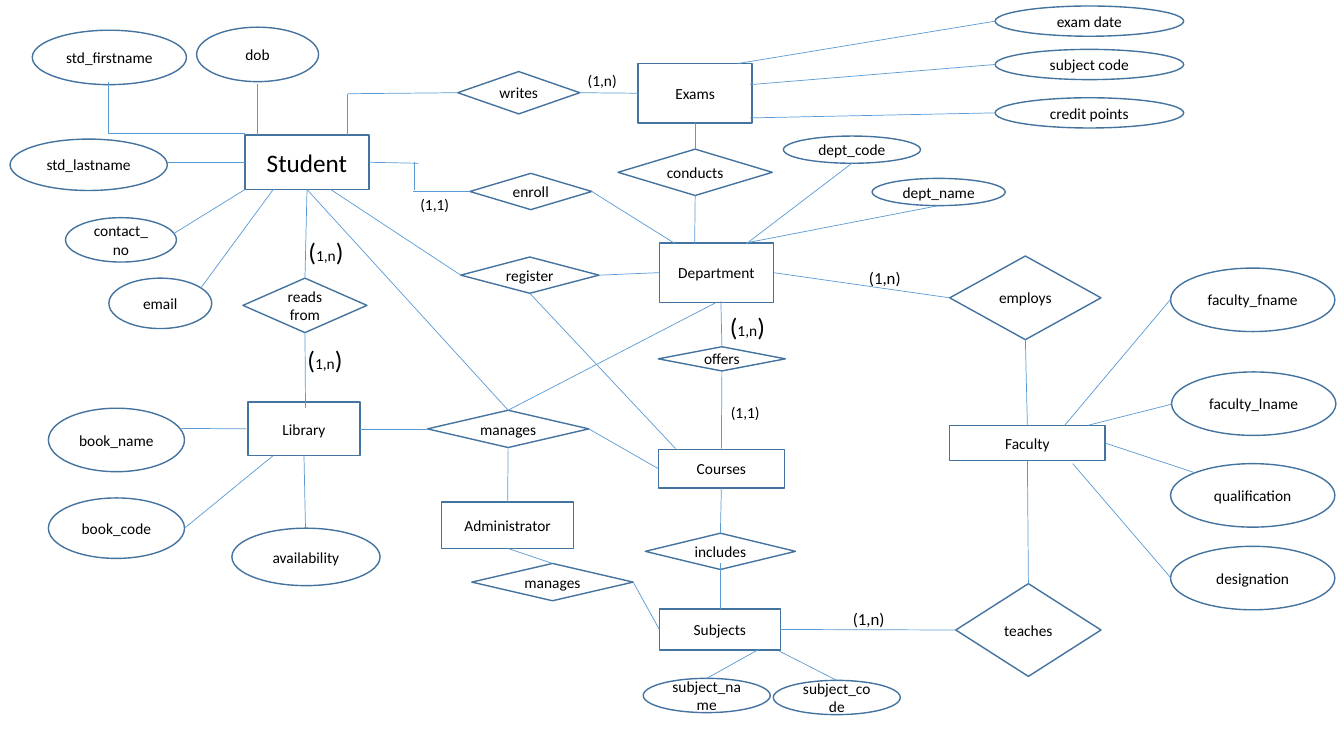
from lxml import etree
from pptx import Presentation
from pptx.dml.color import RGBColor
from pptx.enum.shapes import MSO_CONNECTOR as CONN, MSO_SHAPE as SHAPE
from pptx.enum.text import MSO_ANCHOR as ANCHOR, MSO_AUTO_SIZE as FIT, PP_ALIGN as ALIGN
from pptx.oxml.ns import qn
from pptx.util import Inches, Pt

COLORS = {"paper": "FFFFFF", "outline": "43739E", "link": "5B9BD5", "text": "000000"}

prs = Presentation()
prs.slide_width, prs.slide_height = Inches(13.33), Inches(7.5)
s = prs.slides.add_slide(prs.slide_layouts[6])


def write(tf, text, size=11, bracket=None, align=ALIGN.LEFT):
    """Write one paragraph; bracket is the size of the outer parentheses."""
    p = tf.paragraphs[0]
    p.alignment = align
    parts = [(text, size)]
    if bracket:
        parts = [(text[0], bracket), (text[1:-1], size), (text[-1], bracket)]
    for part, part_size in parts:
        r = p.add_run()
        r.text = part
        r.font.name, r.font.size = "Calibri", Pt(part_size)
        r.font.color.rgb = RGBColor.from_string(COLORS["text"])


def add_link(x1, y1, x2, y2, kind=CONN.STRAIGHT):
    c = s.shapes.add_connector(kind, Inches(x1), Inches(y1), Inches(x2), Inches(y2))
    c.line.color.rgb = RGBColor.from_string(COLORS["link"])
    c.line.width = Pt(0.5)
    etree.SubElement(c._element.spPr, qn("a:effectLst"))
    return c


# Entities, relationships and attributes: text, left, top, width, height
entities = [
    ("Student", 2.43, 1.34, 1.23, 0.54),
    ("Library", 2.46, 3.99, 1.11, 0.53),
    ("Exams", 6.33, 0.63, 1.13, 0.59),
    ("Department", 6.54, 2.41, 1.13, 0.59),
    ("Courses", 6.53, 4.46, 1.25, 0.38),
    ("Subjects", 6.54, 6.04, 1.2, 0.41),
    ("Faculty", 9.42, 4.22, 1.54, 0.35),
    ("Administrator", 4.38, 4.98, 1.31, 0.46),
]
relationships = [
    ("reads from", 2.41, 2.76, 1.23, 0.54),
    ("writes", 4.54, 0.71, 1.21, 0.42),
    ("enroll", 4.66, 1.72, 1.21, 0.36),
    ("register", 4.57, 2.55, 1.37, 0.36),
    ("conducts", 6.13, 1.48, 1.53, 0.46),
    ("offers", 6.53, 3.44, 1.26, 0.24),
    ("includes", 6.4, 5.29, 1.49, 0.36),
    ("employs", 9.42, 2.54, 1.5, 0.83),
    ("teaches", 9.48, 5.79, 1.44, 0.92),
    ("manages", 4.24, 4.07, 1.6, 0.37),
    ("manages", 4.68, 5.59, 1.6, 0.37),
]
attributes = [
    ("dob", 1.95, 0.27, 1.21, 0.54),
    ("std_firstname", 0.32, 0.3, 1.53, 0.54),
    ("std_lastname", 0.1, 1.38, 1.56, 0.51),
    ("contact_no", 0.65, 2.16, 1.1, 0.44),
    ("email", 1.08, 2.76, 1.02, 0.5),
    ("book_name", 0.48, 4.05, 1.35, 0.63),
    ("book_code", 0.48, 4.94, 1.35, 0.6),
    ("availability", 2.3, 5.24, 1.47, 0.57),
    ("exam date", 9.87, 0.06, 1.87, 0.3),
    ("subject code", 9.87, 0.49, 1.87, 0.3),
    ("credit points", 9.87, 0.97, 1.87, 0.3),
    ("dept_code", 7.77, 1.35, 1.36, 0.27),
    ("dept_name", 8.65, 1.77, 1.32, 0.27),
    ("subject_name", 6.38, 6.73, 1.26, 0.34),
    ("subject_code", 7.67, 6.75, 1.26, 0.34),
    ("faculty_fname", 11.61, 2.66, 1.63, 0.63),
    ("faculty_lname", 11.62, 3.69, 1.63, 0.63),
    ("qualification", 11.61, 4.6, 1.63, 0.63),
    ("designation", 11.61, 5.42, 1.63, 0.63),
]
filled = {"Student", "reads from", "dob", "std_firstname", "std_lastname", "contact_no", "email"}

sites = []  # side middles that links can join: x, y, shape, index
for preset, nodes in ((SHAPE.RECTANGLE, entities),
                      (SHAPE.FLOWCHART_DECISION, relationships),
                      (SHAPE.OVAL, attributes)):
    for text, x, y, w, h in nodes:
        sp = s.shapes.add_shape(preset, Inches(x), Inches(y), Inches(w), Inches(h))
        sp.shadow.inherit = False
        if text in filled:
            sp.fill.solid()
            sp.fill.fore_color.rgb = RGBColor.from_string(COLORS["paper"])
        else:
            sp.fill.background()
        sp.line.color.rgb = RGBColor.from_string(COLORS["outline"])
        sp.line.width = Pt(1)
        tf = sp.text_frame
        tf.word_wrap, tf.vertical_anchor = True, ANCHOR.MIDDLE
        write(tf, text, size=18 if text == "Student" else 11, align=ALIGN.CENTER)
        if preset != SHAPE.OVAL:
            middles = [(x + w / 2, y), (x, y + h / 2), (x + w / 2, y + h), (x + w, y + h / 2)]
            sites += [(mx, my, sp, i) for i, (mx, my) in enumerate(middles)]

# Links: x1, y1, x2, y2
links = [
    # Student
    (3.05, 1.88, 3.05, 2.76), (2.55, 1.34, 2.55, 0.83), (2.43, 1.61, 1.66, 1.61),
    (2.43, 1.88, 1.72, 2.32), (2.71, 1.88, 1.99, 2.86), (3.45, 1.34, 3.45, 0.93),
    (3.45, 0.93, 4.54, 0.93), (3.66, 1.61, 4.15, 1.62), (4.11, 1.61, 4.11, 1.89),
    (4.1, 1.9, 4.66, 1.9), (3.28, 1.88, 4.57, 2.73), (3.05, 1.88, 5.03, 4.07),
    # Library
    (3.03, 3.3, 3.03, 4.05), (2.46, 4.25, 1.8, 4.25), (2.71, 4.52, 1.83, 5.24),
    (3.02, 4.52, 3.03, 5.24), (3.57, 4.25, 4.24, 4.25),
    # Exams
    (5.76, 0.93, 6.33, 0.93), (7.32, 0.63, 9.87, 0.21), (7.44, 0.84, 9.87, 0.64),
    (7.44, 1.17, 9.87, 1.12), (6.9, 1.22, 6.9, 1.48),
    # Department
    (6.89, 1.94, 6.89, 2.42), (5.88, 1.9, 6.7, 2.42), (5.94, 2.73, 6.54, 2.7),
    (7.4, 2.41, 9.31, 2.04), (7.4, 2.42, 8.45, 1.62), (7.15, 2.99, 7.15, 3.43),
    (7.68, 2.7, 9.42, 2.96), (5.03, 4.07, 7.11, 3),
    # Courses and Administrator
    (7.17, 3.68, 7.16, 4.46), (7.16, 4.84, 7.15, 5.29), (5.25, 2.91, 6.7, 4.45),
    (5.83, 4.25, 6.53, 4.65), (5.03, 4.44, 5.04, 4.98), (5.04, 5.44, 5.48, 5.59),
    # Subjects
    (7.14, 5.59, 7.14, 6.04), (6.28, 5.78, 6.54, 6.25), (7.53, 6.44, 7.01, 6.73),
    (8.3, 6.75, 7.73, 6.46), (7.73, 6.25, 9.48, 6.25),
    # Faculty
    (10.17, 3.38, 10.18, 4.22), (10.18, 4.57, 10.2, 5.79), (10.56, 4.22, 11.61, 2.97),
    (10.79, 4.22, 11.62, 4.01), (10.95, 4.4, 11.85, 4.69), (10.64, 4.6, 11.61, 5.73),
]
for x1, y1, x2, y2 in links:
    c = add_link(x1, y1, x2, y2)
    for x, y, join in ((x1, y1, c.begin_connect), (x2, y2, c.end_connect)):
        for mx, my, sp, i in sites:
            if max(abs(mx - x), abs(my - y)) < 0.03:
                join(sp, i)

# Bent link with a single corner
bent = add_link(2.43, 1.32, 1.08, 0.81, CONN.ELBOW)
bent._element.spPr.find(qn("a:prstGeom")).set("prst", "bentConnector2")

# Cardinalities: text, left, top, width, height, size, bracket size, wrap
cardinalities = [
    ("(1,n)", 2.96, 2.3, 0.55, 0.4, 11, 18, False),
    ("(1,n)", 2.95, 3.37, 0.55, 0.4, 11, 18, False),
    ("(1,n)", 7.14, 3.04, 0.55, 0.4, 11, 18, False),
    ("(1,n)", 5.73, 0.66, 0.73, 0.29, 11, None, True),
    ("(1,1)", 4.07, 1.89, 0.49, 0.29, 11, None, True),
    ("(1,1)", 7.15, 3.95, 0.49, 0.29, 11, None, False),
    ("(1,n)", 8.52, 2.61, 0.52, 0.3, 12, None, False),
    ("(1,n)", 8.36, 5.99, 0.52, 0.3, 12, None, False),
]
for text, x, y, w, h, size, bracket, wrap in cardinalities:
    tf = s.shapes.add_textbox(Inches(x), Inches(y), Inches(w), Inches(h)).text_frame
    tf.word_wrap, tf.auto_size = wrap, FIT.SHAPE_TO_FIT_TEXT
    write(tf, text, size=size, bracket=bracket)

prs.save("out.pptx")
